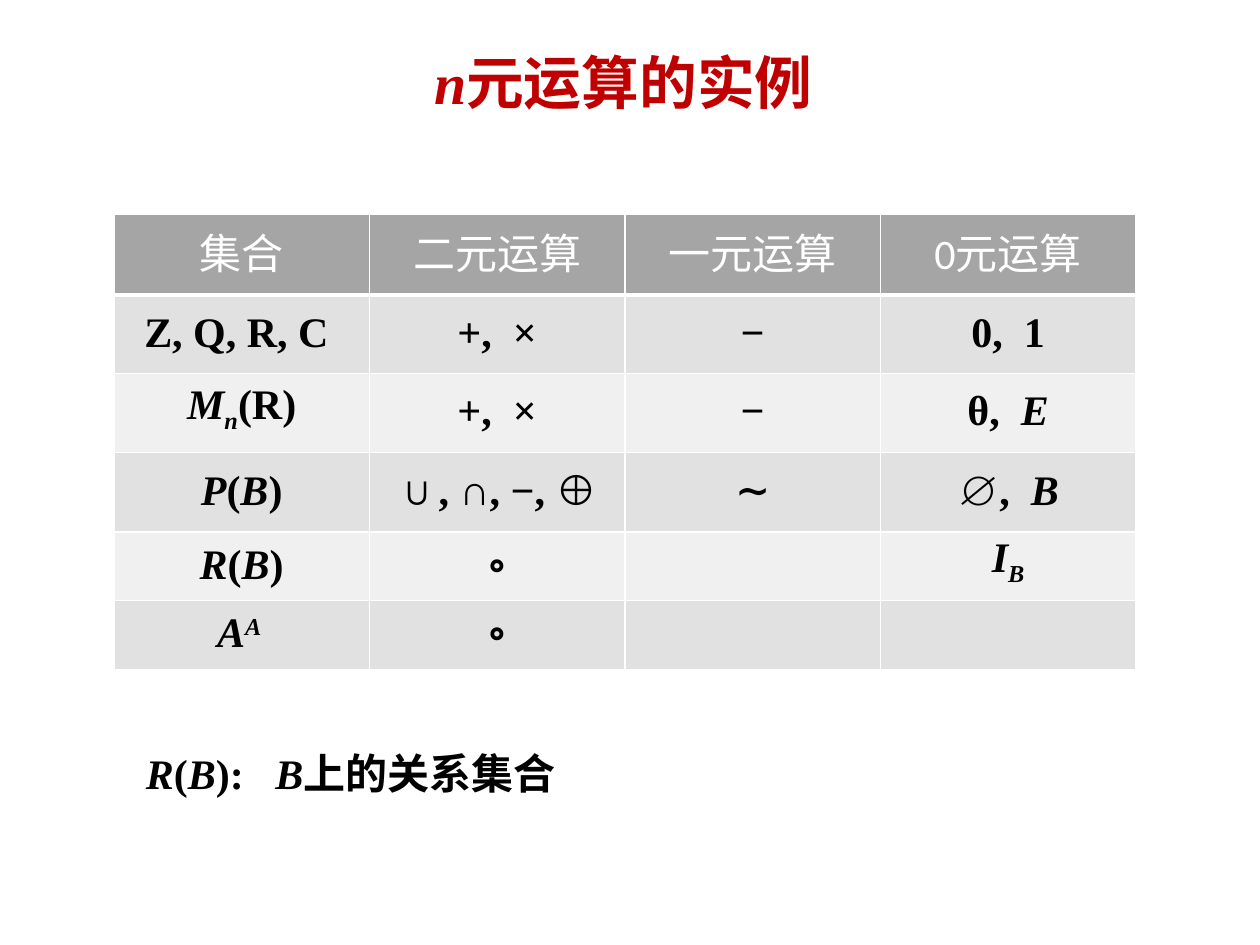
import pptx
import pptx.util
import pptx.dml.color
import pptx.enum.text
import pptx.oxml.ns
import lxml.etree

Pt = pptx.util.Pt
RGB = pptx.dml.color.RGBColor.from_string
qn = pptx.oxml.ns.qn
ALIGN = pptx.enum.text.PP_ALIGN
ANCHOR = pptx.enum.text.MSO_ANCHOR

theme = {
    "title": {"size": 33, "color": "C00000", "bold": True, "name": "Times New Roman"},
    "title_cjk": {"size": 33, "color": "C00000", "bold": True, "name": "Calibri"},
    "header": {"size": 24, "color": "FFFFFF", "bold": False, "name": "Calibri"},
    "body": {"size": 24, "color": "000000", "bold": True, "name": "Times New Roman"},
    "header_fill": "A5A5A5",
    "band_fills": ["F0F0F0", "E1E1E1"],
    "border": "FFFFFF",
}
baselines = {"sub": "-25000", "sup": "30000"}


def add_runs(p, runs, style):
    for text, marks in runs:
        r = p.add_run()
        r.text = text
        fmt = {
            "size": Pt(style["size"]),
            "name": style["name"],
            "bold": style["bold"],
            "italic": "i" in marks.split(),
        }
        for key, value in fmt.items():
            setattr(r.font, key, value)
        r.font.color.rgb = RGB(style["color"])
        for mark in marks.split():
            if mark in baselines:
                r.font._element.set("baseline", baselines[mark])


def set_borders(cell, bottom):
    tc_pr = cell._tc.get_or_add_tcPr()
    widths = {"a:lnL": 1, "a:lnR": 1, "a:lnT": 1, "a:lnB": bottom}
    for i, (tag, width) in enumerate(widths.items()):
        ln = lxml.etree.Element(qn(tag), w=str(Pt(width)))
        fill = lxml.etree.SubElement(ln, qn("a:solidFill"))
        lxml.etree.SubElement(fill, qn("a:srgbClr"), val=theme["border"])
        tc_pr.insert(i, ln)


prs = pptx.Presentation()
prs.slide_width, prs.slide_height = Pt(720), Pt(540)
s = prs.slides.add_slide(prs.slide_layouts[6])

sp = s.shapes.add_textbox(Pt(36), Pt(21.6), Pt(648), Pt(55.4))
tf = sp.text_frame
tf.word_wrap = True
tf.vertical_anchor = ANCHOR.MIDDLE
p = tf.paragraphs[0]
p.alignment = ALIGN.CENTER
p.line_spacing = 0.9
add_runs(p, [("n", "i")], theme["title"])
add_runs(p, [("元运算的实例 ", "")], theme["title_cjk"])

set_of_b = [("(", ""), ("B", "i"), (")", "")]
rows = [
    [[(text, "")] for text in ["集合", "二元运算", "一元运算", "0元运算"]],
    [[(text, "")] for text in ["Z, Q, R, C ", "+,  ×", "−", "0,  1"]],
    [[("M", "i"), ("n", "i sub"), ("(R)", "")], [("+,  ×", "")], [("−", "")],
     [("θ,  ", ""), ("E", "i")]],
    [[("P", "i")] + set_of_b, [("∪, ∩, −, ⊕", "")], [("∼", "")],
     [("∅,  ", ""), ("B", "i")]],
    [[("R", "i")] + set_of_b, [("∘", "")], [], [("I", "i"), ("B", "i sub")]],
    [[("A", "i"), ("A ", "i sup")], [("∘", "")], [], []],
]
heights = [46, 45, 45, 45.4, 39.3, 39.3]

table = s.shapes.add_table(
    len(rows), 4, Pt(65.1), Pt(122.6), Pt(584), Pt(sum(heights))).table
for col in table.columns:
    col.width = Pt(146)
for i, (cells, height) in enumerate(zip(rows, heights)):
    table.rows[i].height = Pt(height)
    is_header = i == 0
    for j, runs in enumerate(cells):
        cell = table.cell(i, j)
        cell.fill.solid()
        cell.fill.fore_color.rgb = RGB(
            theme["header_fill"] if is_header else theme["band_fills"][i % 2])
        set_borders(cell, 3 if is_header else 1)
        p = cell.text_frame.paragraphs[0]
        p.alignment = ALIGN.CENTER
        if not is_header:
            cell.vertical_anchor = ANCHOR.MIDDLE
            p.line_spacing = Pt(25)
        add_runs(p, runs, theme["header" if is_header else "body"])

sp = s.shapes.add_textbox(Pt(76.3), Pt(423.4), Pt(257.8), Pt(36.4))
tf = sp.text_frame
tf.word_wrap = False
tf.auto_size = pptx.enum.text.MSO_AUTO_SIZE.SHAPE_TO_FIT_TEXT
add_runs(
    tf.paragraphs[0],
    [("R", "i"), ("(", ""), ("B", "i"), ("):   ", ""), ("B", "i"), ("上的关系集合 ", "")],
    theme["body"])

prs.save("out.pptx")
